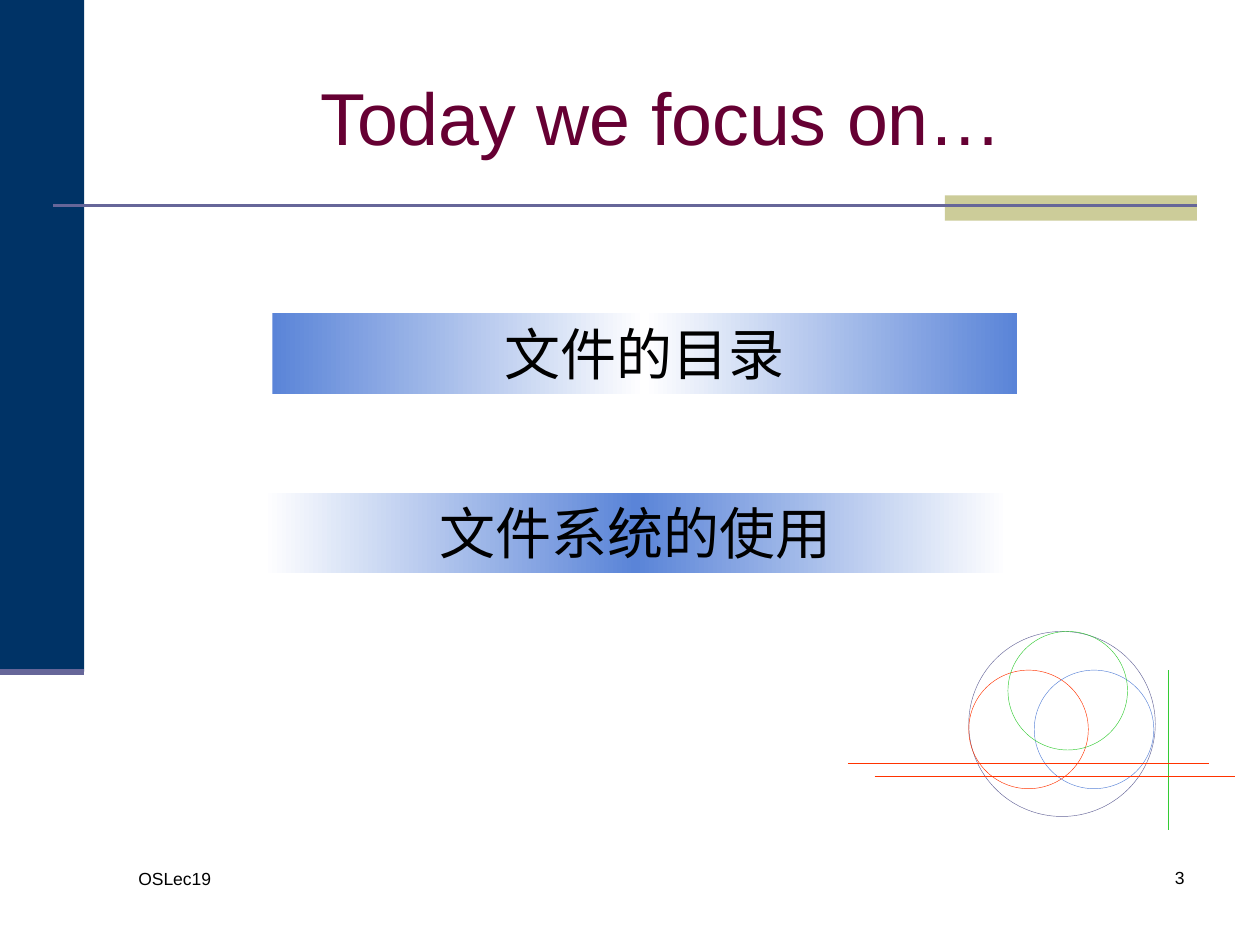
"""Build the agenda slide of an operating systems lecture."""
import copy

import pptx
import pptx.dml.color
import pptx.enum.dml
import pptx.enum.shapes
import pptx.enum.text
import pptx.oxml
import pptx.util
from pptx.util import Cm

SHAPE = pptx.enum.shapes.MSO_SHAPE
ANCHOR = pptx.enum.text.MSO_ANCHOR
ALIGN = pptx.enum.text.PP_ALIGN
NS = 'xmlns:a="http://schemas.openxmlformats.org/drawingml/2006/main"'


def paint(fmt, color):
    """Give a fill or font a solid hex colour."""
    fill = fmt if hasattr(fmt, "solid") else fmt.fill
    fill.solid()
    fill.fore_color.rgb = pptx.dml.color.RGBColor.from_string(color)


def write(sp, text, size, color, align):
    """Put one Arial paragraph in a shape."""
    tf = sp.text_frame
    tf.word_wrap = True
    tf.text = text
    p = tf.paragraphs[0]
    p.alignment = align
    p.font.name = "Arial"
    p.font.size = pptx.util.Pt(size)
    paint(p.font, color)


prs = pptx.Presentation()
prs.slide_width, prs.slide_height = Cm(25.4), Cm(19.05)
s = prs.slides.add_slide(prs.slide_layouts[5])

title = s.shapes.title
title.left, title.top, title.width, title.height = Cm(2.54), Cm(0.76), Cm(21.59), Cm(3.18)
title.text_frame.vertical_anchor = ANCHOR.MIDDLE
write(title, "Today we focus on…", 42, "660033", ALIGN.CENTER)

for left, top, width, height, color in [
    (0, 0, 1.7, 13.54, "003366"),
    (19.05, 3.94, 5.08, 0.51, "CCCC99"),
]:
    sp = s.shapes.add_shape(SHAPE.RECTANGLE, Cm(left), Cm(top), Cm(width), Cm(height))
    sp.shadow.inherit = False
    paint(sp.fill, color)
    sp.line.fill.background()

for left, top, width, height, color in [
    (19.53, 12.73, 3.76, 3.73, "666699"),
    (19.53, 13.51, 2.41, 2.39, "FF3300"),
    (20.85, 13.51, 2.41, 2.39, "5A84D8"),
    (20.32, 12.73, 2.41, 2.39, "33CC33"),
]:
    sp = s.shapes.add_shape(SHAPE.OVAL, Cm(left), Cm(top), Cm(width), Cm(height))
    sp.shadow.inherit = False
    sp.fill.background()
    paint(sp.line.fill, color)
    sp.line.width = pptx.util.Pt(0.25)

for x1, y1, x2, y2, color, width, dotted in [
    (1.07, 4.14, 24.13, 4.14, "666699", 1.5, False),
    (0, 13.54, 1.7, 13.54, "666699", 3.5, False),
    (23.55, 13.51, 23.55, 16.74, "33CC33", 0.25, False),
    (17.09, 15.39, 24.36, 15.39, "FF3300", 0.25, True),
    (17.63, 15.65, 24.89, 15.65, "FF3300", 0.25, False),
]:
    line = s.shapes.add_connector(
        pptx.enum.shapes.MSO_CONNECTOR.STRAIGHT, Cm(x1), Cm(y1), Cm(x2), Cm(y2))
    paint(line.line.fill, color)
    line.line.width = pptx.util.Pt(width)
    if dotted:
        line.line.dash_style = pptx.enum.dml.MSO_LINE.ROUND_DOT
    line._element.spPr.append(pptx.oxml.parse_xml(f"<a:effectLst {NS}/>"))

for left, top, text, edge, middle in [
    (5.49, 6.32, "文件的目录", "5A84D8", "FFFFFF"),
    (5.31, 9.93, "文件系统的使用", "FFFFFF", "5A84D8"),
]:
    sp = s.shapes.add_shape(SHAPE.RECTANGLE, Cm(left), Cm(top), Cm(15.01), Cm(1.63))
    sp.shadow.inherit = False
    sp.line.fill.background()
    sp.fill.gradient()
    sp.fill.gradient_angle = 0
    first = sp._element.spPr.find(".//" + pptx.oxml.ns.qn("a:gs"))
    first.addnext(copy.deepcopy(first))
    for stop, position, color in zip(sp.fill.gradient_stops, (0, 0.5, 1), (edge, middle, edge)):
        stop.position = position
        stop.color.rgb = pptx.dml.color.RGBColor.from_string(color)
    sp.text_frame.vertical_anchor = ANCHOR.TOP
    sp.text_frame.auto_size = pptx.enum.text.MSO_AUTO_SIZE.SHAPE_TO_FIT_TEXT
    write(sp, text, 32, "000000", ALIGN.CENTER)

for left, top, width, text, align in [
    (2.54, 17.37, 5.51, "OSLec19", ALIGN.LEFT),
    (18.85, 17.35, 5.28, "3", ALIGN.RIGHT),
]:
    sp = s.shapes.add_textbox(Cm(left), Cm(top), Cm(width), Cm(1.27))
    write(sp, text, 10, "000000", align)

prs.save("out.pptx")
